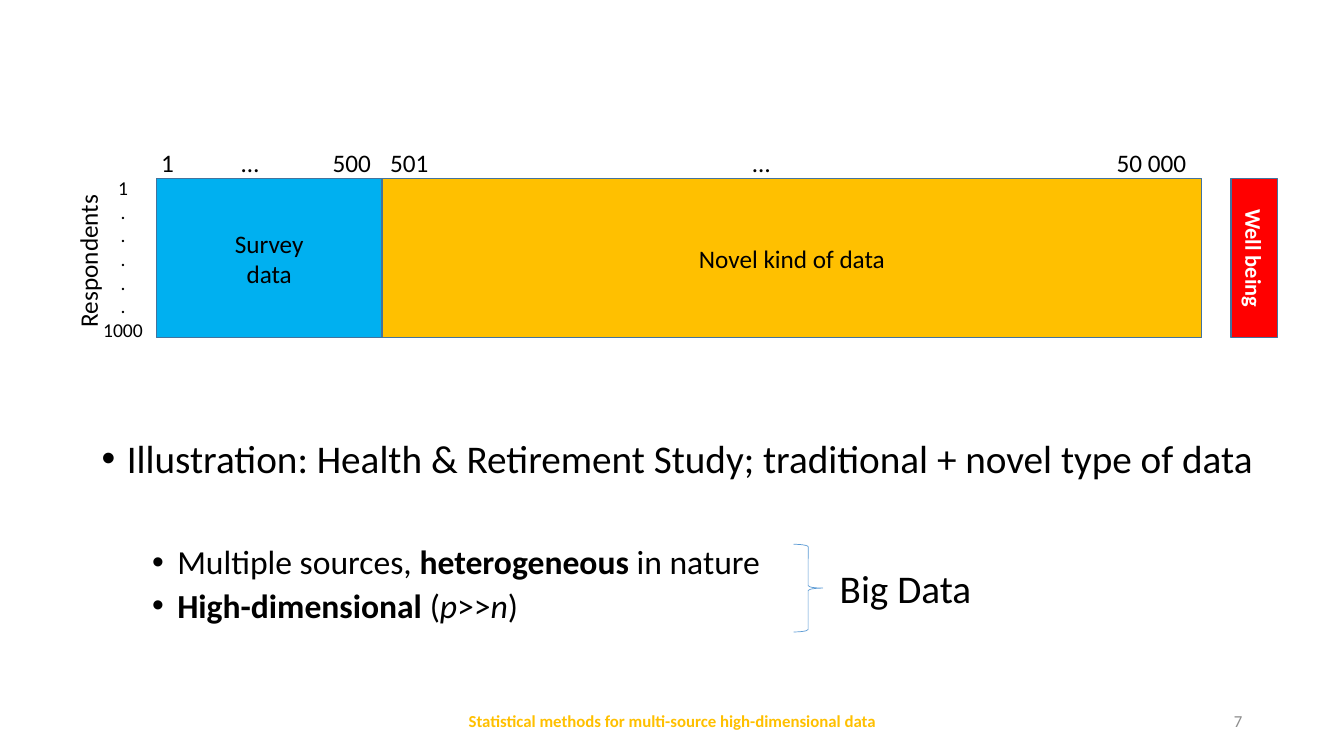
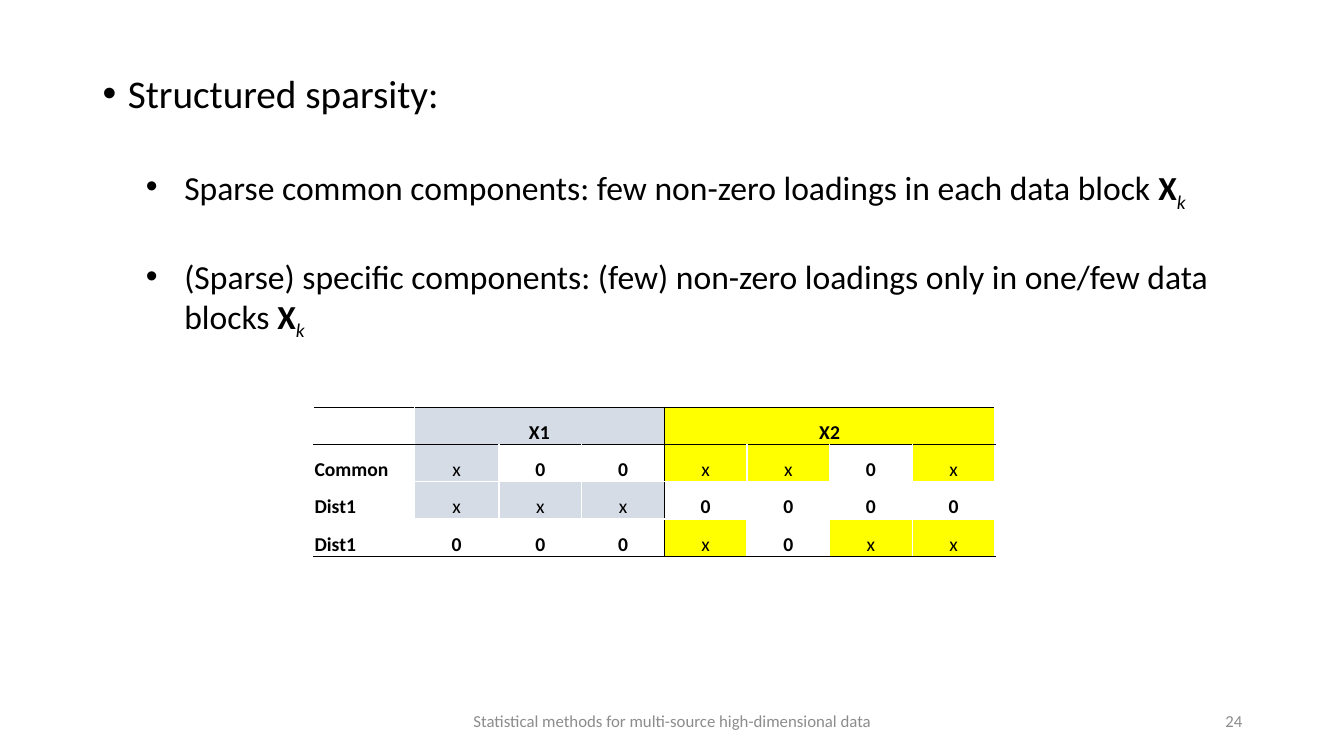
from lxml.etree import SubElement
from pptx import Presentation
from pptx.dml.color import RGBColor
from pptx.enum.shapes import MSO_SHAPE as Shape
from pptx.enum.text import MSO_ANCHOR as Anchor, PP_ALIGN as Align
from pptx.oxml.ns import qn
from pptx.util import Inches, Pt

FONT = "Calibri"
BLACK = RGBColor(0x00, 0x00, 0x00)
WHITE = RGBColor(0xFF, 0xFF, 0xFF)
GRAY = RGBColor(0x8C, 0x8C, 0x8C)
GOLD = RGBColor(0xFF, 0xC0, 0x00)
SKY = RGBColor(0x00, 0xB0, 0xF0)
RED = RGBColor(0xFF, 0x00, 0x00)
OUTLINE = RGBColor(0x43, 0x73, 0x9E)
BRACE_BLUE = RGBColor(0x5B, 0x9B, 0xD5)
PALE_BLUE = RGBColor(0xD6, 0xDC, 0xE5)
YELLOW = RGBColor(0xFF, 0xFF, 0x00)

FOOTER = "Statistical methods for multi-source high-dimensional data"

# Bullets: (level, space before in points, [(text, style)])
# Style letters: b bold, i italic, s subscript
STUDY_BULLETS = [
    (0, 10, [("Illustration: Health & Retirement Study; traditional + novel type of data", "")]),
    (1, 45.8, [("Multiple sources, ", ""), ("heterogeneous", "b"), (" in nature", "")]),
    (1, 5, [("High-dimensional", "b"), (" (", ""), ("p", "i"), (">>", ""), ("n", "i"), (")", "")]),
]
BLOCK_K = [("X", "b"), ("k", "is")]
SPARSITY_BULLETS = [
    (0, 10, [("Structured sparsity:", "")]),
    (1, 36.4, [("Sparse common components: few non-zero loadings in each data block ", ""), *BLOCK_K]),
    (1, 36.4, [("(Sparse) specific components: (few) non-zero loadings only in one/few data blocks ", ""),
               *BLOCK_K]),
]
BULLET_SIZES = (28, 24)

# Data blocks: left, width, fill, lines, text size, colour, bold, direction
BLOCK_TOP, BLOCK_HEIGHT = 1.77, 1.58
DATA_BLOCKS = [
    (3.79, 8.13, GOLD, ["Novel kind of data"], 18, BLACK, False, "horz"),
    (12.21, 0.46, RED, ["Well being"], 16, WHITE, True, "vert"),
    (1.55, 2.24, SKY, ["Survey", "data"], 18, BLACK, False, "horz"),
]
VARIABLE_LABELS = [("1", 1.66), ("…", 2.48), ("500", 3.49),
                   ("501", 4.06), ("…", 7.55), ("50 000", 11.42)]
RESPONDENT_NUMBERS = ["1", *"." * 5, "1000"]

COLUMN_WIDTHS = [1, 0.84] + [0.82] * 6
ROW_HEIGHT = 0.37
TABLE_BLOCKS = [("X1", 1, 3, PALE_BLUE), ("X2", 4, 7, YELLOW)]
LOADINGS = [
    ["Common", *"x00xx0x"],
    ["Dist1", *"xxx0000"],
    ["Dist1", *"000x0xx"],
]


def add_run(para, text, size, color=BLACK, bold=False, italic=False):
    span = para.add_run()
    span.text = text
    font = span.font
    font.name, font.size, font.bold, font.italic = FONT, Pt(size), bold, italic
    font.color.rgb = color
    return span


def write_lines(frame, lines, size, color=BLACK, bold=False, align=Align.CENTER):
    for number, line in enumerate(lines):
        para = frame.add_paragraph() if number else frame.paragraphs[0]
        para.alignment = align
        add_run(para, line, size, color, bold)


def set_insets(frame, side, top):
    frame.margin_left = frame.margin_right = Inches(side)
    frame.margin_top = frame.margin_bottom = Inches(top)


def set_direction(frame, direction):
    frame._txBody.bodyPr.set("vert", direction)


def add_box(page, left, top, width, height, anchor=Anchor.TOP):
    box = page.shapes.add_textbox(*map(Inches, (left, top, width, height)))
    frame = box.text_frame
    frame.word_wrap = True
    frame.vertical_anchor = anchor
    return frame


def add_outlined(page, kind, left, top, width, height, fill, line, weight):
    shape = page.shapes.add_shape(kind, *map(Inches, (left, top, width, height)))
    shape.shadow.inherit = False
    if fill is None:
        shape.fill.background()
    else:
        shape.fill.solid()
        shape.fill.fore_color.rgb = fill
    shape.line.color.rgb = line
    shape.line.width = Pt(weight)
    return shape


def add_footer(page, number, color=GRAY, bold=False):
    write_lines(add_box(page, 4.42, 6.95, 4.5, 0.4, Anchor.MIDDLE), [FOOTER], 12, color, bold)
    write_lines(add_box(page, 9.42, 6.95, 3, 0.4, Anchor.MIDDLE), [number], 12, GRAY,
                align=Align.RIGHT)


def add_bullets(page, bullets, left, top, width, height, indents):
    """Write bullets; indents holds (left margin, hanging indent) for each level."""
    frame = add_box(page, left, top, width, height)
    for number, (level, before, spans) in enumerate(bullets):
        para = frame.add_paragraph() if number else frame.paragraphs[0]
        para.level = level
        para.line_spacing = 0.9
        para.space_before = Pt(before)
        margin, hanging = indents[level]
        props = para._p.get_or_add_pPr()
        props.set("marL", str(Inches(margin)))
        props.set("indent", str(-Inches(hanging)))
        SubElement(props, qn("a:buFont"), typeface="Arial")
        SubElement(props, qn("a:buChar"), char="•")
        for text, style in spans:
            span = add_run(para, text, BULLET_SIZES[level], bold="b" in style, italic="i" in style)
            if "s" in style:
                span._r.get_or_add_rPr().set("baseline", "-25000")


def set_borders(cell, colors):
    """Draw 1 pt borders in the order left, right, top, bottom."""
    props = cell._tc.get_or_add_tcPr()
    for side, color in zip("LRTB", colors):
        line = SubElement(props, qn(f"a:ln{side}"), w=str(Pt(1)))
        SubElement(SubElement(line, qn("a:solidFill")), qn("a:srgbClr"), val=str(color))


def add_loadings_table(page, left, top):
    grid = [[""] * len(COLUMN_WIDTHS), *LOADINGS]
    last_row = len(grid) - 1
    block_fill = {}
    for name, first, last, fill in TABLE_BLOCKS:
        grid[0][first] = name
        block_fill.update(dict.fromkeys(range(first, last + 1), fill))
    divider = TABLE_BLOCKS[1][1]

    table = page.shapes.add_table(
        len(grid), len(COLUMN_WIDTHS), Inches(left), Inches(top),
        Inches(sum(COLUMN_WIDTHS)), Inches(ROW_HEIGHT * len(grid))).table
    table.first_row = table.horz_banding = False
    for column, width in zip(table.columns, COLUMN_WIDTHS):
        column.width = Inches(width)
    for row in table.rows:
        row.height = Inches(ROW_HEIGHT)
    for _, first, last, _ in TABLE_BLOCKS:
        table.cell(0, first).merge(table.cell(0, last))

    for r, values in enumerate(grid):
        for c, value in enumerate(values):
            cell = table.cell(r, c)
            dark_sides = (c == divider, c == divider - 1, r <= 1, r in (0, last_row))
            set_borders(cell, [BLACK if dark else WHITE for dark in dark_sides])
            if c in block_fill and (r == 0 or value == "x"):
                cell.fill.solid()
                cell.fill.fore_color.rgb = block_fill[c]
            else:
                cell.fill.background()
            cell.vertical_anchor = Anchor.BOTTOM
            cell.margin_left = cell.margin_right = cell.margin_top = Inches(0.01)
            cell.margin_bottom = 0
            if value:
                write_lines(cell.text_frame, [value], 14, bold=value != "x",
                            align=Align.CENTER if c else Align.LEFT)


def build_study_page(page):
    add_footer(page, "7", GOLD, True)
    add_bullets(page, STUDY_BULLETS, 0.91, 4.31, 11.85, 2.09, [(0.25, 0.25), (0.75, 0.25)])
    for left, width, fill, lines, size, color, bold, direction in DATA_BLOCKS:
        block = add_outlined(page, Shape.RECTANGLE, left, BLOCK_TOP, width, BLOCK_HEIGHT,
                             fill, OUTLINE, 1)
        frame = block.text_frame
        set_insets(frame, 0, 0)
        set_direction(frame, direction)
        frame.vertical_anchor = Anchor.MIDDLE
        write_lines(frame, lines, size, color, bold)
    for label, center in VARIABLE_LABELS:
        width = 0.1 + 0.12 * len(label)
        frame = add_box(page, center - width / 2, 1.41, width, 0.4)
        set_insets(frame, 0, 0.05)
        write_lines(frame, [label], 18)
    axis = add_box(page, 0.67, 1.18, 0.4, 2.82)
    set_insets(axis, 0.05, 0.1)
    set_direction(axis, "vert270")
    write_lines(axis, ["Respondents"], 18)
    write_lines(add_box(page, 0.91, 1.7, 0.62, 1.75), RESPONDENT_NUMBERS, 14)
    add_outlined(page, Shape.RIGHT_BRACE, 7.87, 5.4, 0.29, 0.87, None, BRACE_BLUE, 0.5)
    write_lines(add_box(page, 8.23, 5.55, 1.78, 0.57), ["Big Data"], 28, align=Align.LEFT)


def build_sparsity_page(page):
    add_bullets(page, SPARSITY_BULLETS, 0.92, 0.69, 11.5, 3.1, [(0.25, 0.25), (0.81, 0.38)])
    add_footer(page, "24")
    add_loadings_table(page, 3.11, 4.04)


def main():
    deck = Presentation()
    deck.slide_width, deck.slide_height = Inches(13.33), Inches(7.5)
    for build in (build_study_page, build_sparsity_page):
        build(deck.slides.add_slide(deck.slide_layouts[6]))
    deck.save("out.pptx")


if __name__ == "__main__":
    main()
